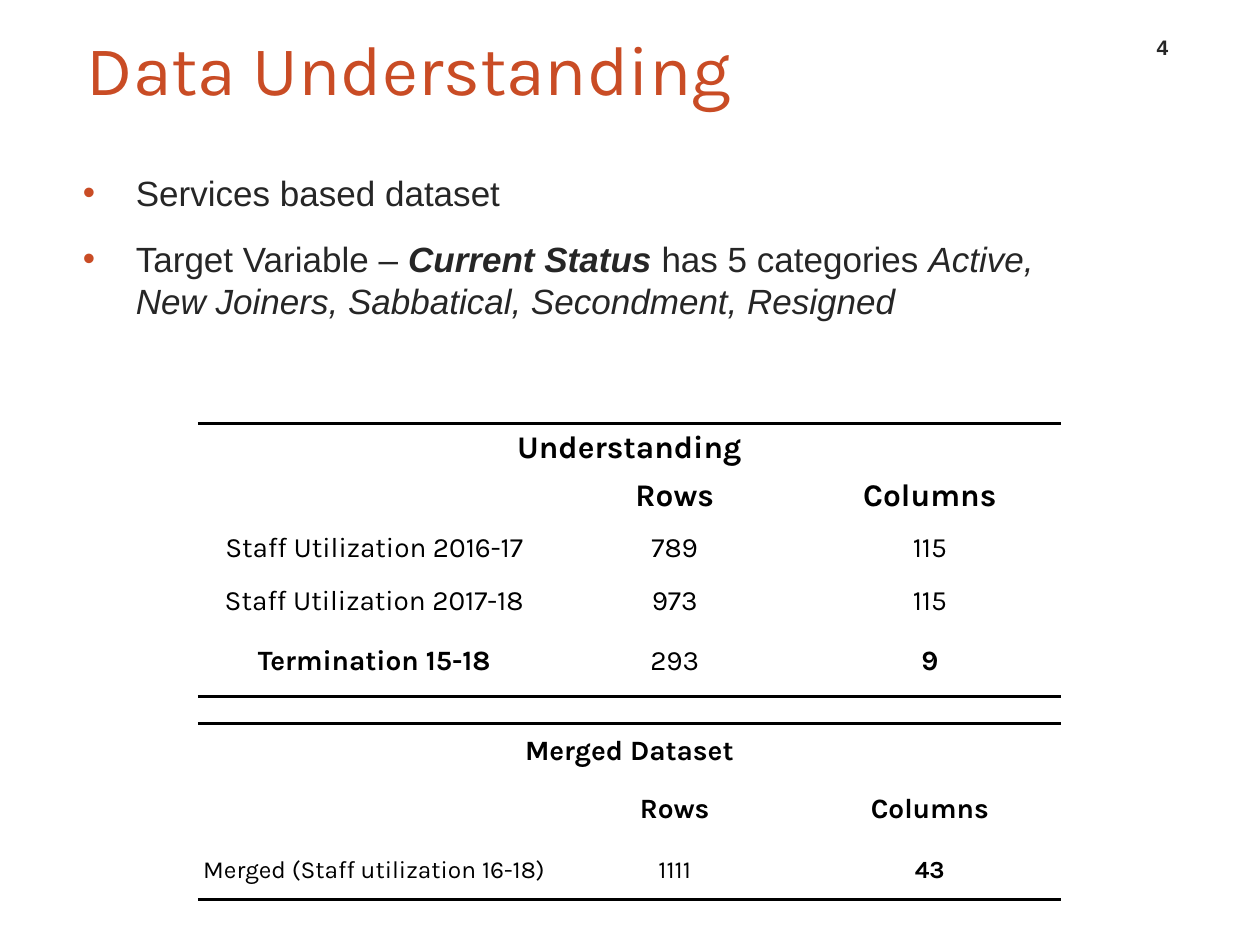
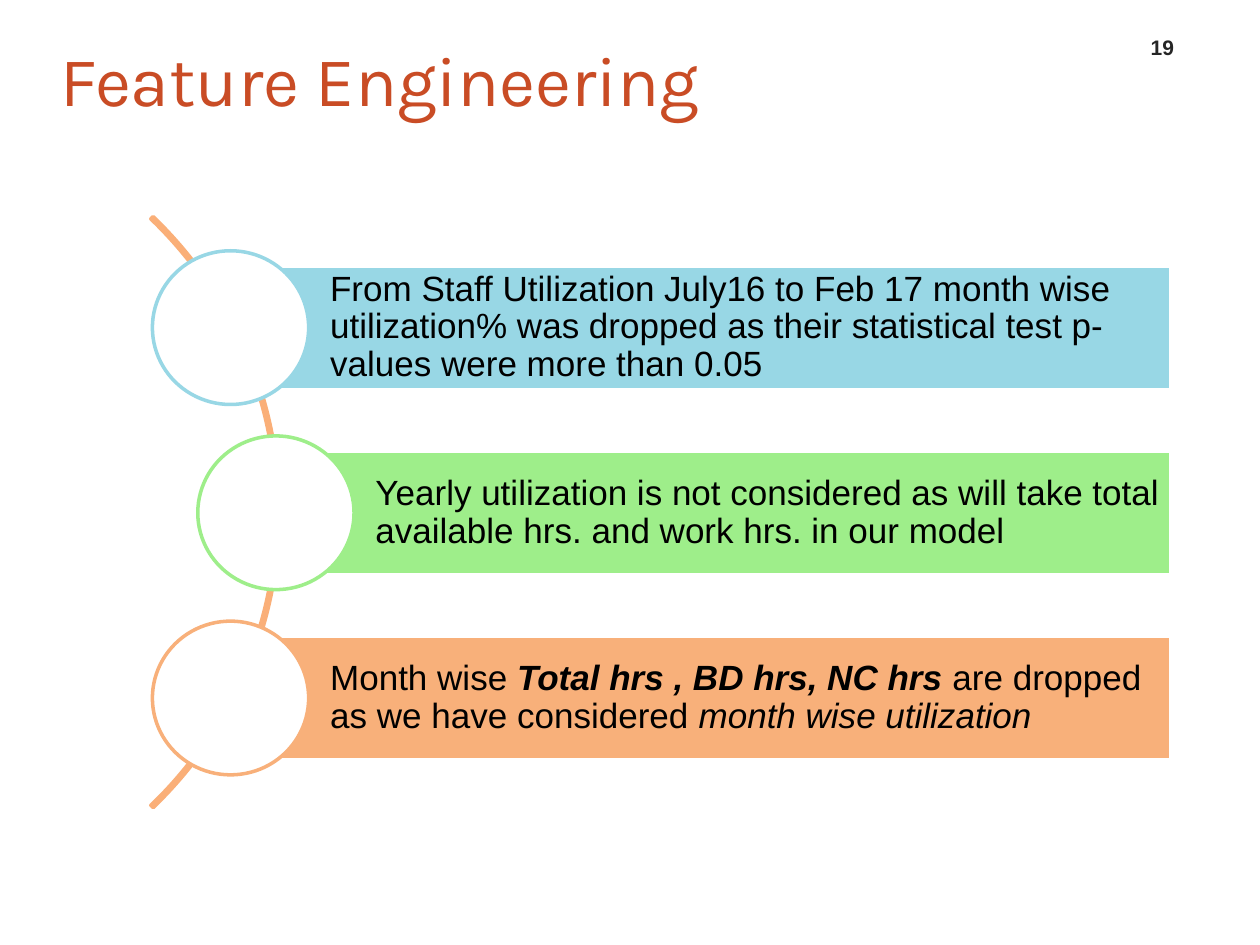
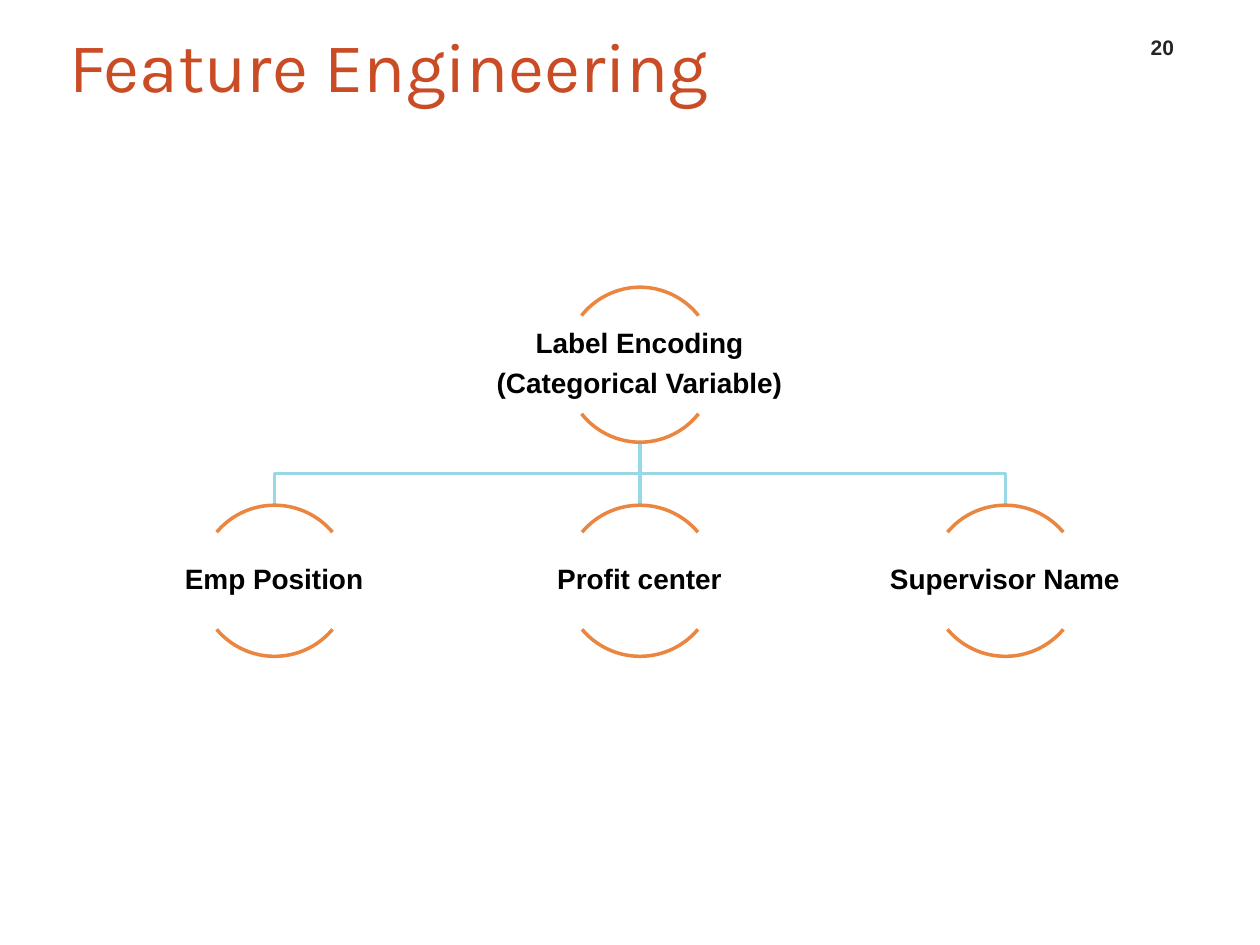
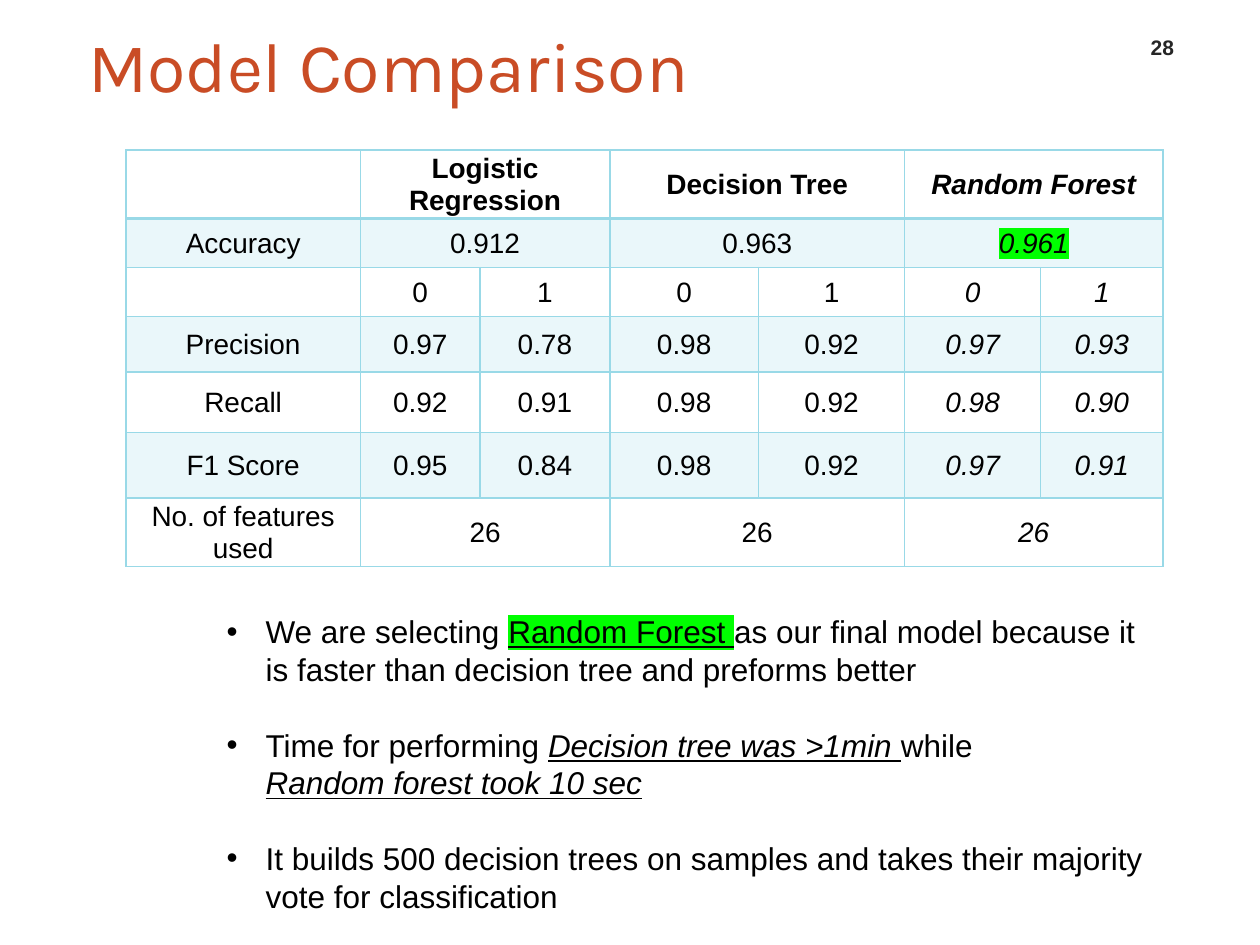
"""Build four slides on data understanding, features and model comparison."""
from dataclasses import dataclass, field
from typing import Any, Optional, Sequence

from lxml.etree import SubElement
from pptx import Presentation
from pptx.dml.color import RGBColor
from pptx.enum.shapes import MSO_CONNECTOR, MSO_SHAPE as Preset
from pptx.enum.text import MSO_ANCHOR as Anchor, PP_ALIGN as Align
from pptx.oxml import parse_xml
from pptx.oxml.ns import nsdecls, qn
from pptx.util import Emu, Pt

PX = 9144
SLIDE_WIDTH, SLIDE_HEIGHT = 1000, 750
NO_STYLE = "{2D5ABB26-0587-4C30-8999-92F81FD0307C}"
COLORS = {
    "title": "C94C25", "body": "262626", "black": "000000", "white": "FFFFFF",
    "blue": "98D7E5", "green": "9EEE8A", "orange": "F8B07A", "curve": "FAAF78",
    "arc": "EA8640", "grid": "99D9E7", "highlight": "00FF00",
}
TITLE = {"name": "Karla", "size": 40, "color": "title"}
NUMBER = {"name": "Arial", "size": 12, "color": "body", "bold": True}
BODY = {"name": "Arial", "size": 20, "color": "body"}
BAND = {"name": "Arial", "size": 20, "color": "black"}
NODE = {"name": "Arial", "size": 16, "color": "black", "bold": True}
NOTE = {"name": "Arial", "size": 18, "color": "black"}
SCORE = {"name": "Arial", "size": 16, "color": "black"}
COUNT = {"name": "Karla", "size": 16, "color": "black"}
BOLD, ITALIC, UNDERLINE = {"bold": True}, {"italic": True}, {"underline": True}
HIGHLIGHT = {"highlight": "highlight"}
PADDING = (10, 5, 10, 5)
TIGHT = (1, 1, 1, 1)


@dataclass
class Run:
    """A stretch of text with its own format; a newline breaks the line."""
    text: str
    format: dict[str, Any] = field(default_factory=dict)


@dataclass
class Paragraph:
    """Runs that share alignment, spacing, indents and bullet colour."""
    runs: Sequence[Run]
    format: dict[str, Any] = field(default_factory=dict)
    margin: int = 0
    indent: int = 0
    bullet: Optional[str] = None


@dataclass
class Box:
    """A rectangle in px."""
    left: int
    top: int
    width: int
    height: int

    def emu(self) -> list[Emu]:
        """Return the four lengths in EMU."""
        return [px(v) for v in (self.left, self.top, self.width, self.height)]


@dataclass
class Band:
    """A coloured bar of text with a circle at its left end."""
    left: int
    color: str
    runs: Sequence[Run]


@dataclass
class Grid:
    """A table: place, column widths, row heights, cells and base format."""
    left: int
    top: int
    columns: Sequence[int]
    heights: Sequence[int]
    rows: Sequence[Sequence[Optional[Run]]]
    format: dict[str, Any]


def px(length: int) -> Emu:
    """Turn px into EMU."""
    return Emu(length * PX)


def rgb(name: str) -> RGBColor:
    """Look up a named colour."""
    return RGBColor.from_string(COLORS[name])


def set_all(target: Any, values: dict[str, Any]) -> None:
    """Set every attribute named in a dict."""
    for name, value in values.items():
        setattr(target, name, value)


def format_run(run: Any, values: dict[str, Any]) -> None:
    """Apply font values, colour and highlight to a run."""
    plain = {k: v for k, v in values.items() if k not in ("color", "highlight")}
    set_all(run.font, plain | {"size": Pt(values["size"])})
    run.font.color.rgb = rgb(values["color"])
    if "highlight" in values:
        code = COLORS[values["highlight"]]
        fill = run.font._element.find(qn("a:solidFill"))
        fill.addnext(parse_xml(
            f'<a:highlight {nsdecls("a")}><a:srgbClr val="{code}"/></a:highlight>'))


def write_text(frame: Any, paragraphs: Sequence[Paragraph], base: dict[str, Any],
               insets: Sequence[int] = PADDING, anchor: Any = Anchor.TOP) -> None:
    """Fill a text frame with formatted paragraphs."""
    sides = ("margin_left", "margin_top", "margin_right", "margin_bottom")
    set_all(frame, dict(zip(sides, map(px, insets)))
            | {"word_wrap": True, "vertical_anchor": anchor})
    for index, item in enumerate(paragraphs):
        paragraph = frame.add_paragraph() if index else frame.paragraphs[0]
        set_all(paragraph, {"alignment": Align.LEFT} | item.format)
        properties = paragraph._p.get_or_add_pPr()
        properties.set("marL", str(px(item.margin)))
        properties.set("indent", str(px(item.indent)))
        if item.bullet:
            color = SubElement(properties, qn("a:buClr"))
            SubElement(color, qn("a:srgbClr"), val=COLORS[item.bullet])
            SubElement(properties, qn("a:buFont"), typeface="Arial")
            SubElement(properties, qn("a:buChar"), char="•")
        for part in item.runs:
            for line, text in enumerate(part.text.split("\n")):
                if line:
                    paragraph.add_line_break()
                run = paragraph.add_run()
                run.text = text
                format_run(run, base | part.format)


def add_text(slide: Any, box: Box, paragraphs: Sequence[Paragraph], base: dict[str, Any],
             insets: Sequence[int] = PADDING, anchor: Any = Anchor.TOP) -> None:
    """Add a text box."""
    frame = slide.shapes.add_textbox(*box.emu()).text_frame
    write_text(frame, paragraphs, base, insets, anchor)


def style_shape(shape: Any, line: str, fill: Optional[str] = None) -> None:
    """Give a shape its outline and fill, without a shadow."""
    shape.shadow.inherit = False
    shape.line.color.rgb = rgb(line)
    shape.line.width = Pt(2)
    if fill:
        shape.fill.solid()
        shape.fill.fore_color.rgb = rgb(fill)
    else:
        shape.fill.background()


def add_preset(slide: Any, preset: Any, box: Box, line: str, fill: Optional[str] = None,
               adjustments: Sequence[float] = ()) -> Any:
    """Add a preset shape."""
    shape = slide.shapes.add_shape(preset, *box.emu())
    for index, value in enumerate(adjustments):
        shape.adjustments[index] = value
    style_shape(shape, line, fill)
    return shape


def add_slide(presentation: Any, title: str, number: int, box: Box) -> Any:
    """Add a blank slide with the shared title and page number."""
    slide = presentation.slides.add_slide(presentation.slide_layouts[6])
    add_text(slide, box, [Paragraph([Run(title)], margin=20)], TITLE,
             (0, 5, 0, 5), Anchor.MIDDLE)
    add_text(slide, Box(895, 19, 55, 33),
             [Paragraph([Run(str(number))], {"alignment": Align.CENTER})],
             NUMBER, anchor=Anchor.BOTTOM)
    return slide


def add_grid(slide: Any, grid: Grid) -> Any:
    """Add an unstyled table; None continues the cell on its left."""
    box = Box(grid.left, grid.top, sum(grid.columns), sum(grid.heights))
    table = slide.shapes.add_table(len(grid.heights), len(grid.columns), *box.emu()).table
    set_all(table, {"first_row": False, "horz_banding": False})
    table._tbl.tblPr.find(qn("a:tableStyleId")).text = NO_STYLE
    for column, width in zip(table.columns, grid.columns):
        column.width = px(width)
    for row, height in zip(table.rows, grid.heights):
        row.height = px(height)
    for r, cells in enumerate(grid.rows):
        for c, run in enumerate(cells):
            if run is None:
                continue
            end = c + 1
            while end < len(cells) and cells[end] is None:
                end += 1
            cell = table.cell(r, c)
            if end > c + 1:
                cell.merge(table.cell(r, end - 1))
            write_text(cell.text_frame, [Paragraph([run], {"alignment": Align.CENTER})],
                       grid.format)
            set_all(cell, {"margin_left": px(1), "margin_right": px(1), "margin_top": px(1),
                           "margin_bottom": 0, "vertical_anchor": Anchor.MIDDLE})
    return table


def set_borders(cell: Any, color: str, widths: dict[str, int]) -> None:
    """Draw cell borders, keyed L, R, T and B in that order."""
    properties = cell._tc.get_or_add_tcPr()
    for index, (side, width) in enumerate(widths.items()):
        properties.insert(index, parse_xml(
            f'<a:ln{side} {nsdecls("a")} w="{Pt(width)}"><a:solidFill>'
            f'<a:srgbClr val="{COLORS[color]}"/></a:solidFill></a:ln{side}>'))


def add_count_table(slide: Any, grid: Grid) -> None:
    """Add a white table ruled above and below in black."""
    table = add_grid(slide, grid)
    last = len(grid.rows) - 1
    for r in range(last + 1):
        for c in range(len(grid.columns)):
            cell = table.cell(r, c)
            cell.fill.solid()
            cell.fill.fore_color.rgb = rgb("white")
            ruled = {"T": r == 0, "B": r == last}
            set_borders(cell, "black", {side: 2 for side, on in ruled.items() if on})


def add_score_table(slide: Any, grid: Grid) -> None:
    """Add a gridded table with every second row tinted."""
    table = add_grid(slide, grid)
    for r in range(len(grid.rows)):
        for c in range(len(grid.columns)):
            cell = table.cell(r, c)
            if r % 2:
                cell.fill.solid()
                cell.fill.fore_color.rgb = rgb("grid")
                color = cell._tc.tcPr.find(".//" + qn("a:srgbClr"))
                SubElement(color, qn("a:alpha"), val="20000")
            else:
                cell.fill.background()
            set_borders(cell, "grid", {"L": 1, "R": 1, "T": 2 if r == 1 else 1,
                                       "B": 2 if r == 0 else 1})


def build_data_slide(presentation: Any) -> None:
    """Describe the data sets."""
    slide = add_slide(presentation, "Data Understanding", 4, Box(49, 10, 533, 87))
    bullets = [
        [Run("Services based dataset")],
        [Run("Target Variable – "), Run("Current Status ", BOLD | ITALIC),
         Run("has 5 categories "),
         Run("Active,\nNew Joiners, Sabbatical, Secondment, Resigned", ITALIC)],
    ]
    add_text(slide, Box(49, 131, 900, 503),
             [Paragraph(runs, {"space_before": Pt(14 if index else 0)}, 49, -42, "title")
              for index, runs in enumerate(bullets)], BODY)
    columns = (280, 197, 208)
    large = BOLD | {"size": 18}
    small = {"size": 14}
    add_count_table(slide, Grid(157, 336, columns, (38, 38, 46, 38, 57), [
        (Run("Understanding", large), None, None),
        (Run(""), Run("Rows", large), Run("Columns", large)),
        (Run("Staff Utilization 2016-17"), Run("789"), Run("115")),
        (Run("Staff Utilization 2017-18"), Run("973"), Run("115")),
        (Run("Termination 15-18", BOLD), Run("293"), Run("9", BOLD)),
    ], COUNT))
    add_count_table(slide, Grid(157, 574, columns, (44, 48, 48), [
        (Run("Merged Dataset", BOLD), None, None),
        (Run(""), Run("Rows", BOLD), Run("Columns", BOLD)),
        (Run("Merged (Staff utilization 16-18)", small), Run("1111", small),
         Run("43", BOLD | small)),
    ], COUNT))


def build_dropped_slide(presentation: Any) -> None:
    """List the dropped features along a curve."""
    slide = add_slide(presentation, "Feature Engineering", 19, Box(28, 19, 533, 87))
    add_preset(slide, Preset.BLOCK_ARC, Box(-448, 78, 670, 657), "curve",
               adjustments=(189, 27, 0.004))
    bands = [
        Band(184, "blue", [Run("From Staff Utilization July16 to Feb 17 month wise "
                               "utilization% was dropped as their statistical test "
                               "p-values were more than 0.05")]),
        Band(220, "green", [Run("Yearly utilization is not considered as will take total "
                                "available hrs. and work hrs. in our model")]),
        Band(184, "orange", [Run("Month wise "),
                             Run("Total hrs , BD hrs, NC hrs ", BOLD | ITALIC),
                             Run("are dropped as we have considered "),
                             Run("month wise utilization", ITALIC)]),
    ]
    for index, band in enumerate(bands):
        top = 211 + 147 * index
        bar = add_preset(slide, Preset.RECTANGLE, Box(band.left, top, 929 - band.left, 98),
                         "white", band.color)
        write_text(bar.text_frame, [Paragraph(band.runs, {"line_spacing": 0.9})], BAND,
                   (78, 6, 6, 6), Anchor.MIDDLE)
        add_preset(slide, Preset.OVAL, Box(band.left - 63, top - 12, 124, 122),
                   band.color, "white")


def add_node(slide: Any, center: int, top: int, height: int, lines: Sequence[str]) -> None:
    """Add a tree node: a label between an upper and a lower arc."""
    for angles in ((132, 192), (24, 84)):
        add_preset(slide, Preset.ARC, Box(center - 60, top, 120, height), "arc",
                   adjustments=angles)
    add_text(slide, Box(center - 120, top + 22, 239, height - 44),
             [Paragraph([Run(line)], {"alignment": Align.CENTER, "line_spacing": 0.9,
                                      "space_before": Pt(5.6 if index else 0)})
              for index, line in enumerate(lines)], NODE, TIGHT, Anchor.MIDDLE)


def build_encoding_slide(presentation: Any) -> None:
    """Show the label encoded variables as a tree."""
    slide = add_slide(presentation, "Feature Engineering", 20, Box(35, 8, 615, 87))
    root, root_bottom, middle, child_top = 508, 351, 376, 401
    children = {218: "Emp Position", root: "Profit center", 798: "Supervisor Name"}
    for center in children:
        if center == root:
            stem = slide.shapes.add_connector(
                MSO_CONNECTOR.STRAIGHT, px(root), px(root_bottom), px(root), px(child_top))
            stem.line.color.rgb = rgb("blue")
            stem.line.width = Pt(2)
            SubElement(stem._element.spPr, qn("a:effectLst"))
        else:
            builder = slide.shapes.build_freeform(root, root_bottom, scale=PX)
            builder.add_line_segments(
                [(root, middle), (center, middle), (center, child_top)], close=False)
            style_shape(builder.convert_to_shape(), "blue")
    add_node(slide, root, 228, 123, ["Label Encoding", "(Categorical Variable)"])
    for center, name in children.items():
        add_node(slide, center, child_top, 120, [name])


def score_row(label: str, values: str) -> list[Run]:
    """Split the values of a row, with the last two in italics."""
    runs = [Run(value) for value in values.split()]
    for run in runs[-2:]:
        run.format = ITALIC
    return [Run(label)] + runs


def build_comparison_slide(presentation: Any) -> None:
    """Compare the three models."""
    slide = add_slide(presentation, "Model Comparison", 28, Box(50, 8, 533, 87))
    add_score_table(slide, Grid(
        100, 119, (186, 95, 103, 118, 116, 108, 97), (52, 39, 39, 44, 48, 52, 48), [
            (Run(""), Run("Logistic Regression", BOLD), None, Run("Decision Tree", BOLD), None,
             Run("Random Forest", BOLD | ITALIC), None),
            (Run("Accuracy"), Run("0.912"), None, Run("0.963"), None,
             Run("0.961", ITALIC | HIGHLIGHT), None),
            score_row("", "0 1 0 1 0 1"),
            score_row("Precision", "0.97 0.78 0.98 0.92 0.97 0.93"),
            score_row("Recall", "0.92 0.91 0.98 0.92 0.98 0.90"),
            score_row("F1 Score", "0.95 0.84 0.98 0.92 0.97 0.91"),
            (Run("No. of features used"), Run("26"), None, Run("26"), None,
             Run("26", ITALIC), None),
        ], SCORE))
    notes = [
        [Run("We are selecting "), Run("Random Forest ", UNDERLINE | HIGHLIGHT),
         Run("as our final model because it is faster than decision tree and "
             "preforms better")],
        [Run("Time for performing "), Run("Decision tree was >1min ", ITALIC | UNDERLINE),
         Run("while\n"), Run("Random forest took 10 sec", ITALIC | UNDERLINE)],
        [Run("It builds 500 decision trees on samples and takes their majority vote "
             "for classification")],
    ]
    add_text(slide, Box(170, 481, 760, 269),
             [Paragraph(runs, {"space_before": Pt(21.6 if index else 0)}, 31, -31, "black")
              for index, runs in enumerate(notes)], NOTE)


def main() -> None:
    """Build and save the presentation."""
    presentation = Presentation()
    set_all(presentation, {"slide_width": px(SLIDE_WIDTH), "slide_height": px(SLIDE_HEIGHT)})
    for build in (build_data_slide, build_dropped_slide, build_encoding_slide,
                  build_comparison_slide):
        build(presentation)
    presentation.save("out.pptx")


if __name__ == "__main__":
    main()
